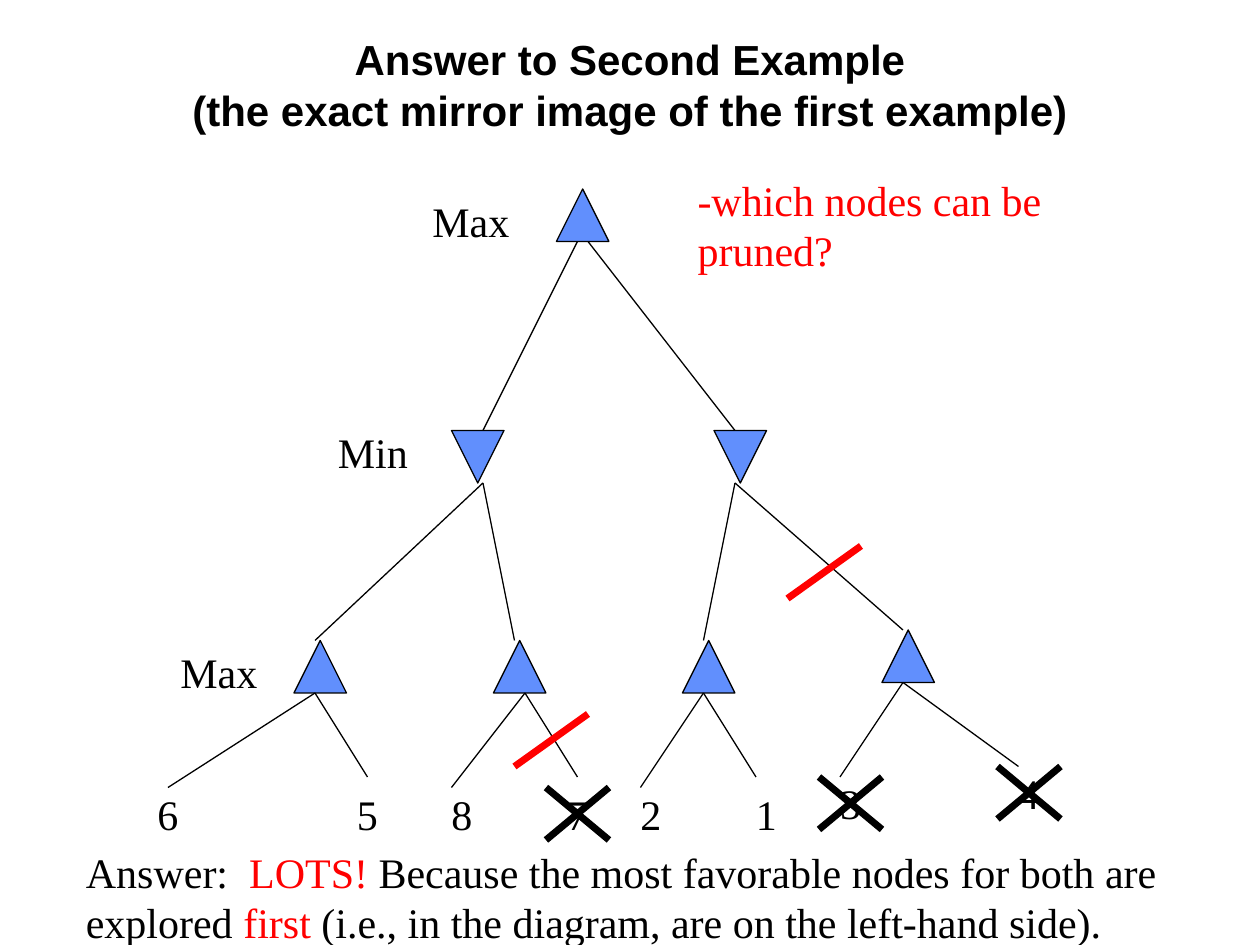
from pptx import Presentation
from pptx import util as u
from pptx.dml.color import RGBColor
from pptx.enum import shapes, text
from pptx.oxml.ns import qn

Pt = u.Pt
COLORS = {"black": "000000", "red": "FF0000", "node": "618FFD"}
SERIF, SANS = "Times New Roman", "Arial"
NODE_SIZE = 30
CROSS_WIDTH, CROSS_HEIGHT = 36, 30

# Tree nodes: left, top of each triangle
MAX_NODES = [(318, 108), (168, 366), (282, 366), (390, 366), (504, 360)]
MIN_NODES = [(258, 246), (408, 246)]

# Branches: start point and the end points reached from it
BRANCHES = [
    ((330, 138), [(276, 246)]),
    ((336, 138), [(420, 246)]),
    ((276, 276), [(180, 366), (294, 366)]),
    ((420, 276), [(402, 366), (516, 360)]),
    ((180, 396), [(96, 450), (210, 444)]),
    ((300, 396), [(258, 450), (330, 444)]),
    ((402, 396), [(366, 450), (432, 444)]),
    ((516, 390), [(480, 444), (582, 438)]),
]

# Leaf values: text, left, top
LEAVES = [
    ("6", 82.8, 447), ("5", 196.8, 447), ("8", 250.8, 447), ("7", 316.8, 447),
    ("2", 358.8, 447), ("1", 424.8, 447), ("3", 473, 441), ("4", 574.8, 435),
]
LEVELS = [("Max", 240, 108), ("Min", 186, 240), ("Max", 96, 366)]

# Pruning marks
CUTS = [((336, 408), (294, 438)), ((492, 312), (450, 342))]
CROSSES = [(312, 450), (570, 438), (468, 444)]

ANSWER = [
    ("Answer:  ", "black"),
    ("LOTS!", "red"),
    (" Because the most favorable nodes for both are explored ", "black"),
    ("first", "red"),
    (" (i.e., in the diagram, are on the left-hand side).", "black"),
]


def color(name):
    return RGBColor.from_string(COLORS[name])


def add_text(slide, runs, left, top, width, height, font=SERIF, bold=False, wrap=True):
    """Add a text box with one paragraph made of (text, colour name) runs."""
    box = slide.shapes.add_textbox(Pt(left), Pt(top), Pt(width), Pt(height))
    frame = box.text_frame
    frame.word_wrap = wrap
    paragraph = frame.paragraphs[0]
    paragraph.text = runs[0][0]
    for run in paragraph.runs:
        format_run(run, runs[0][1], font, bold)
    for content, color_name in runs[1:]:
        run = paragraph.add_run()
        run.text = content
        format_run(run, color_name, font, bold)
    return box


def format_run(run, color_name, font, bold):
    run.font.name = font
    run.font.size = Pt(24)
    run.font.bold = bold
    run.font.color.rgb = color(color_name)


def add_node(slide, left, top, rotation=0):
    node = slide.shapes.add_shape(
        shapes.MSO_SHAPE.ISOSCELES_TRIANGLE,
        Pt(left), Pt(top), Pt(NODE_SIZE), Pt(NODE_SIZE))
    node.rotation = rotation
    node.shadow.inherit = False
    node.fill.solid()
    node.fill.fore_color.rgb = color("node")
    node.line.color.rgb = color("black")
    node.line.width = Pt(0.75)


def add_line(parent, start, end, color_name="black", width=0.75):
    line = parent.shapes.add_connector(
        shapes.MSO_CONNECTOR.STRAIGHT, *(Pt(value) for value in (*start, *end)))
    line.line.color.rgb = color(color_name)
    line.line.width = Pt(width)
    properties = line._element.spPr
    properties.append(properties.makeelement(qn("a:effectLst"), {}))


def add_cross(slide, left, top):
    group = slide.shapes.add_group_shape()
    right, bottom = left + CROSS_WIDTH, top + CROSS_HEIGHT
    add_line(group, (left, top), (right, bottom), width=4)
    add_line(group, (right, top), (left, bottom), width=4)


def main():
    presentation = Presentation()
    presentation.slide_width, presentation.slide_height = Pt(720), Pt(540)
    slide = presentation.slides.add_slide(presentation.slide_layouts[6])

    # Title
    title = "Answer to Second Example\v(the exact mirror image of the first example)"
    box = add_text(slide, [(title, "black")], 54, 24, 612, 48, SANS, bold=True)
    box.text_frame.vertical_anchor = text.MSO_ANCHOR.MIDDLE
    box.text_frame.paragraphs[0].alignment = text.PP_ALIGN.CENTER

    # Tree
    for left, top in MAX_NODES:
        add_node(slide, left, top)
    for left, top in MIN_NODES:
        add_node(slide, left, top, rotation=180)
    for start, ends in BRANCHES:
        for end in ends:
            add_line(slide, start, end)

    # Leaf values, question and level names
    for value, left, top in LEAVES:
        add_text(slide, [(value, "black")], left, top, 26.4, 36.6, wrap=False)
    add_text(slide, [("-which nodes can be pruned?", "red")], 391.5, 96, 250.5, 50.4)
    for name, left, top in LEVELS:
        add_text(slide, [(name, "black")], left, top, 60, 36.6)

    # Pruned branches and leaves
    for start, end in CUTS:
        add_line(slide, start, end, "red", 4)
    for left, top in CROSSES:
        add_cross(slide, left, top)

    # Answer
    add_text(slide, ANSWER, 42, 480, 642, 65.4)

    presentation.save("out.pptx")


if __name__ == "__main__":
    main()
